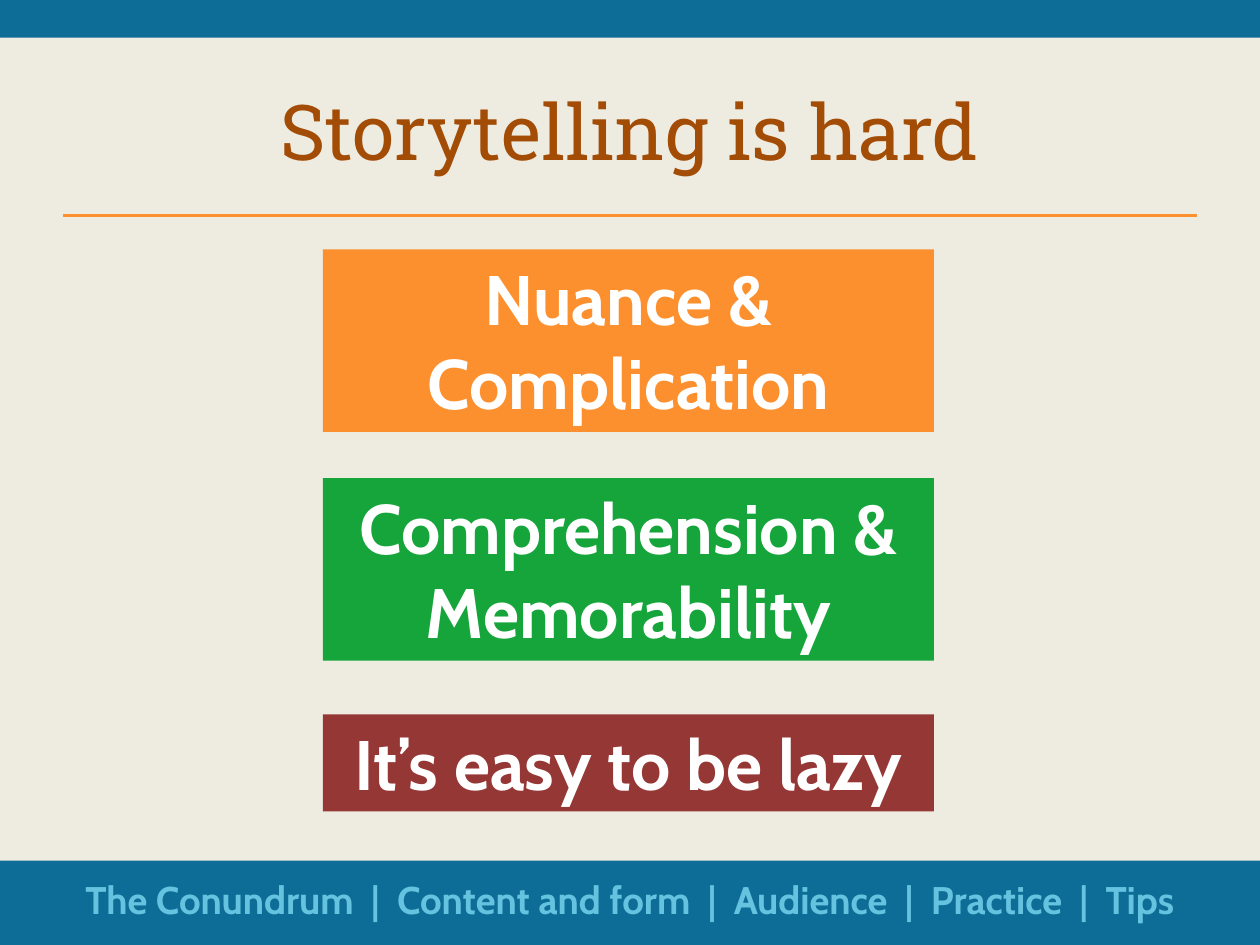
from pptx import Presentation
from pptx.dml.color import RGBColor
from pptx.enum.shapes import MSO_CONNECTOR, MSO_SHAPE
from pptx.enum.text import MSO_ANCHOR, MSO_AUTO_SIZE, PP_ALIGN
from pptx.oxml.ns import qn
from pptx.util import Cm, Pt
from lxml import etree

RECT = MSO_SHAPE.RECTANGLE
LINE = MSO_CONNECTOR.STRAIGHT
TOP, MIDDLE = MSO_ANCHOR.TOP, MSO_ANCHOR.MIDDLE
GROW, FIXED = MSO_AUTO_SIZE.SHAPE_TO_FIT_TEXT, MSO_AUTO_SIZE.NONE
CENTER = PP_ALIGN.CENTER

WIDE, HIGH = 25.4, 19.05
EDGE = 1.27
SPAN = WIDE - 2 * EDGE
BLUE, ORANGE = "0D6D97", "FD902E"
POINTS = [
    ("Nuance & Complication", 5.03, 3.68, ORANGE),
    ("Comprehension & Memorability", 9.64, 3.68, "15A53B"),
    ("It’s easy to be lazy", 14.4, 1.96, "953735"),
]
TOPICS = ["The Conundrum", "Content and form", "Audience", "Practice", "Tips"]


def paint(color, tint):
    """Give a colour format its hex colour."""
    color.rgb = RGBColor.from_string(tint)


def write(shape, text, face, size, tint, bold=False, anchor=TOP, fit=GROW):
    """Put one centred, styled paragraph in a shape."""
    frame = shape.text_frame
    frame.text = text
    frame.word_wrap = True
    frame.auto_size = fit
    frame.vertical_anchor = anchor
    para = frame.paragraphs[0]
    para.alignment = CENTER
    font = para.font
    font.name, font.size, font.bold = face, Pt(size), bold
    paint(font.color, tint)


def block(slide, left, top, width, height, tint):
    """Add a flat filled rectangle."""
    shape = slide.shapes.add_shape(RECT, Cm(left), Cm(top), Cm(width), Cm(height))
    shape.shadow.inherit = False
    shape.fill.solid()
    paint(shape.fill.fore_color, tint)
    shape.line.fill.background()
    return shape


def rule(slide, top):
    """Add the line below the title."""
    line = slide.shapes.add_connector(LINE, Cm(EDGE), Cm(top), Cm(EDGE + SPAN), Cm(top))
    line.line.width = Pt(2)
    paint(line.line.color, ORANGE)
    props = line._element.find(qn("p:spPr"))
    etree.SubElement(props, qn("a:effectLst"))


def head(slide, text):
    """Place and style the title."""
    title = slide.shapes.title
    title.left, title.top = Cm(EDGE), Cm(1.27)
    title.width, title.height = Cm(SPAN), Cm(2.67)
    write(title, text, "Roboto Slab", 44, "A34C05", anchor=MIDDLE, fit=FIXED)


def trail(slide):
    """Add the list of topics in the bottom band."""
    box = slide.shapes.add_textbox(Cm(EDGE), Cm(17.53), Cm(SPAN), Cm(1.19))
    write(box, "  |  ".join(TOPICS), "Cabin", 22, "65C3DF", bold=True)


def main():
    """Build and save the slide."""
    deck = Presentation()
    deck.slide_width, deck.slide_height = Cm(WIDE), Cm(HIGH)
    slide = deck.slides.add_slide(deck.slide_layouts[5])
    fill = slide.background.fill
    fill.solid()
    paint(fill.fore_color, "EEECE1")
    block(slide, 0, 17.35, WIDE, HIGH - 17.35, BLUE)
    block(slide, 0, 0, WIDE, 0.76, BLUE)
    rule(slide, 4.34)
    head(slide, "Storytelling is hard")
    for text, top, height, tint in POINTS:
        shape = block(slide, 6.51, top, 12.32, height, tint)
        write(shape, text, "Cabin", 40, "FFFFFF", bold=True)
    trail(slide)
    deck.save("out.pptx")


if __name__ == "__main__":
    main()
